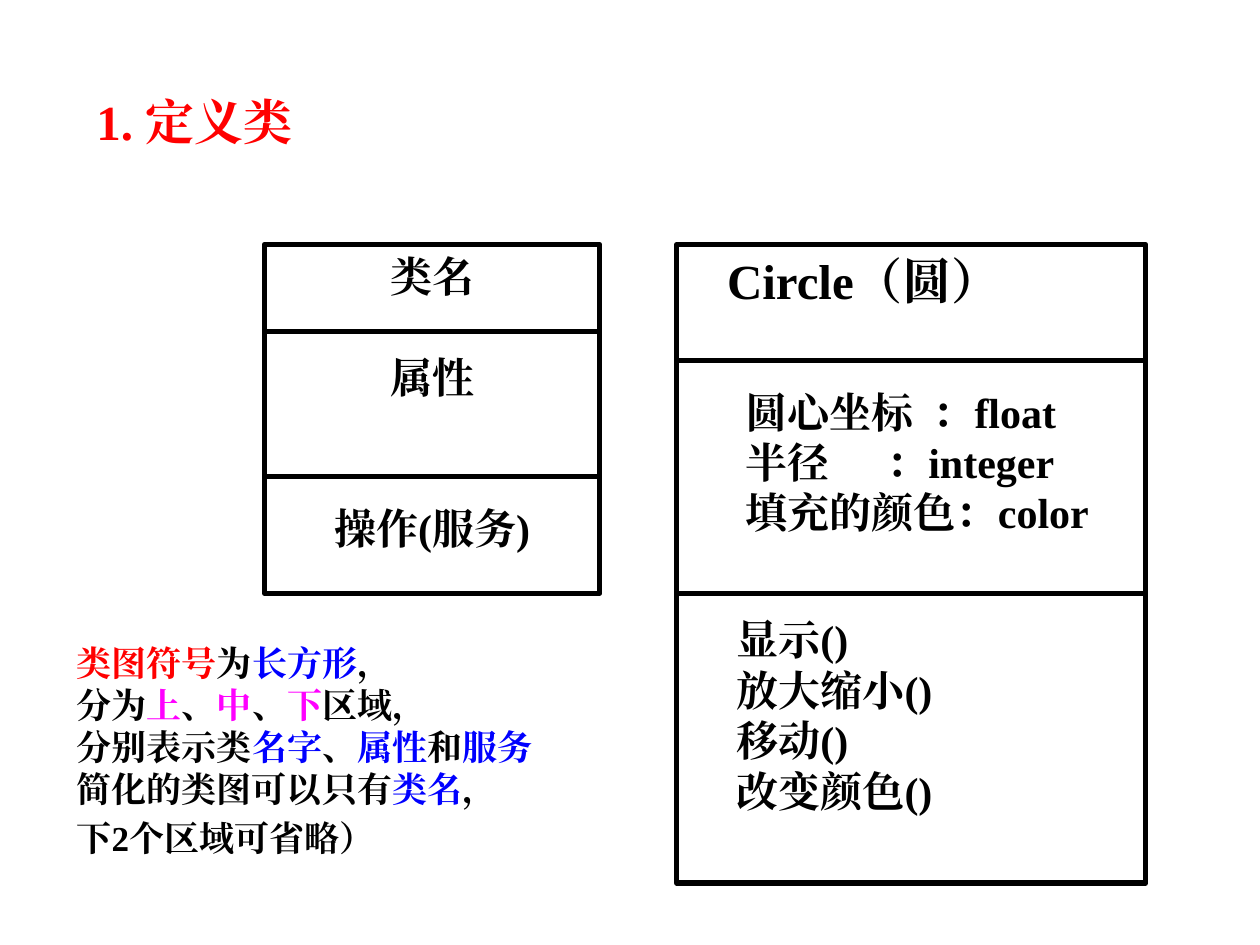
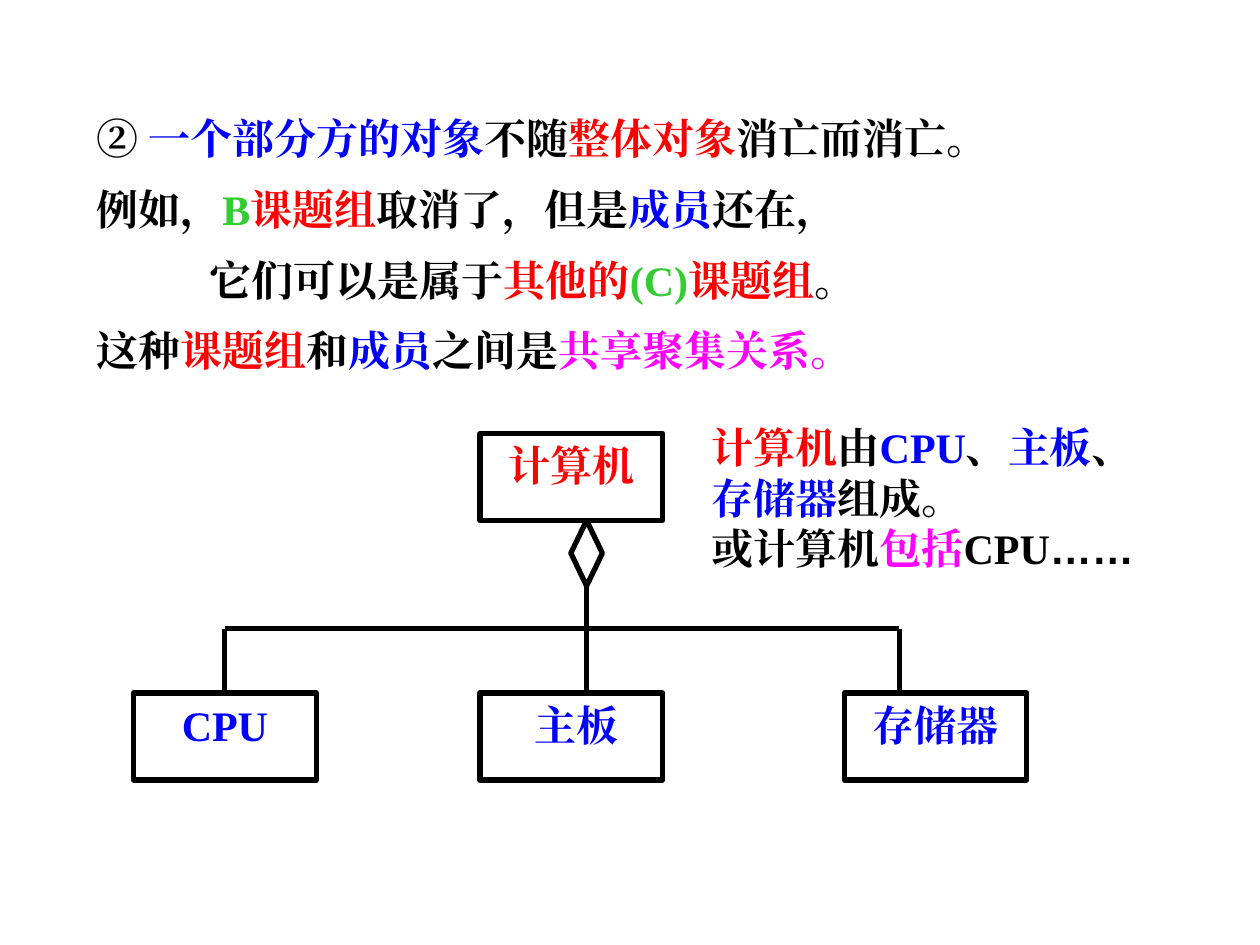
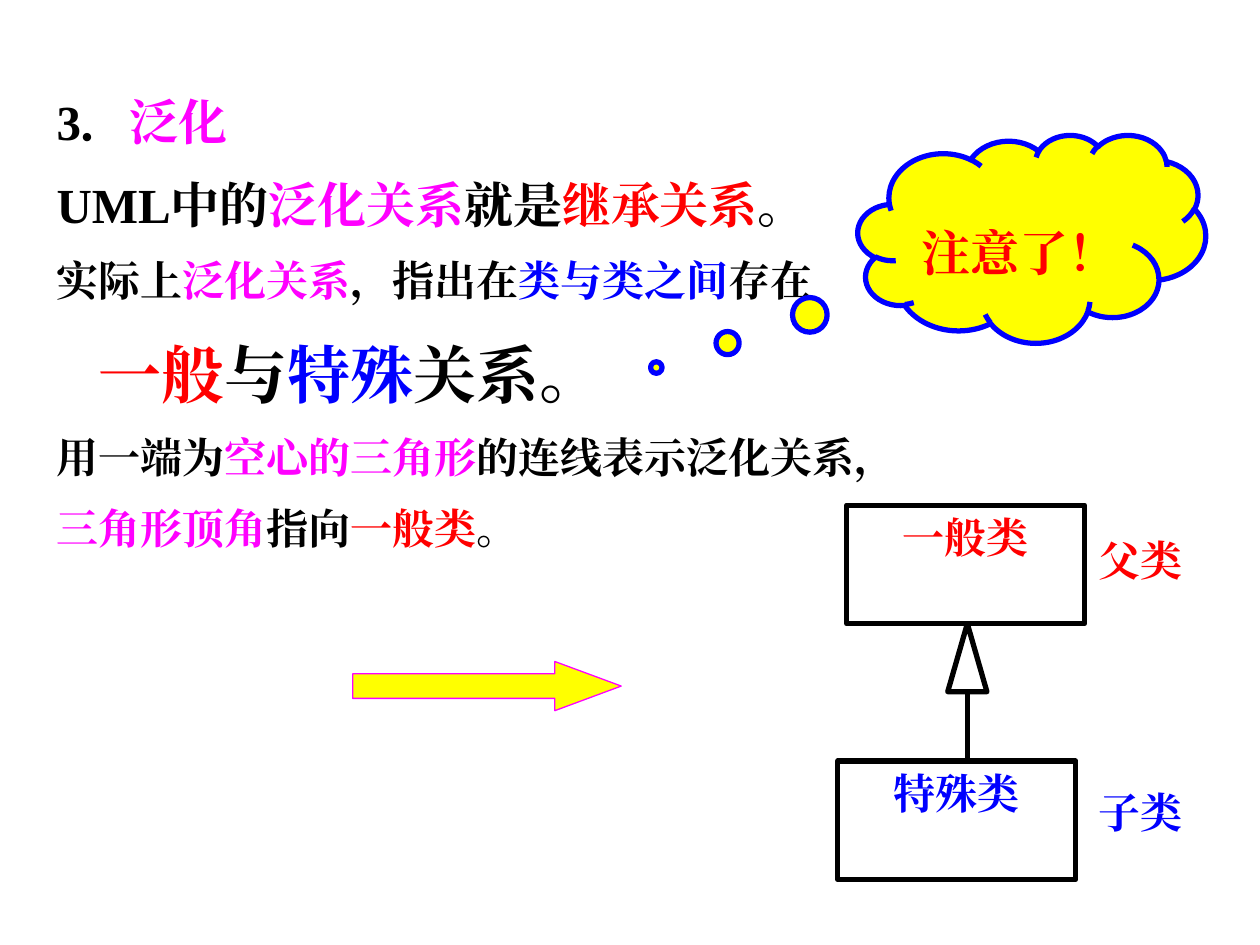
from dataclasses import dataclass
from functools import partial
from typing import NamedTuple, Sequence

from lxml.etree import SubElement
from pptx import Presentation
from pptx.dml.color import RGBColor
from pptx.enum.lang import MSO_LANGUAGE_ID
from pptx.enum.shapes import MSO_CONNECTOR, MSO_SHAPE
from pptx.enum.text import MSO_ANCHOR, PP_ALIGN
from pptx.oxml.ns import qn
from pptx.shapes.autoshape import Shape
from pptx.shapes.connector import Connector
from pptx.slide import Slide
from pptx.util import Pt

BLACK = RGBColor(0x00, 0x00, 0x00)
WHITE = RGBColor(0xFF, 0xFF, 0xFF)
RED = RGBColor(0xFF, 0x00, 0x00)
BLUE = RGBColor(0x00, 0x00, 0xFF)
MAGENTA = RGBColor(0xFF, 0x00, 0xFF)
GREEN = RGBColor(0x33, 0xCC, 0x33)
YELLOW = RGBColor(0xFF, 0xFF, 0x00)

FONT = "Times New Roman"
SYMBOL_FONT = "Arial"
LINE_HEIGHT = 1.2  # line pitch as a multiple of the text size
ROW = 24 * LINE_HEIGHT
INSET_X, INSET_Y = 7.2, 3.6
STROKE = 3


class Box(NamedTuple):
    left: float
    top: float
    width: float
    height: float

    @property
    def right(self) -> float:
        return self.left + self.width

    @property
    def bottom(self) -> float:
        return self.top + self.height

    @property
    def center(self) -> float:
        return self.left + self.width / 2


class Run(NamedTuple):
    text: str
    color: RGBColor = BLACK
    font: str = FONT


black = Run
red = partial(Run, color=RED)
blue = partial(Run, color=BLUE)
magenta = partial(Run, color=MAGENTA)
green = partial(Run, color=GREEN)


@dataclass(frozen=True)
class Line:
    runs: Sequence[Run]
    size: float = 24
    before: float = 0
    spacing: float = 1
    indent: float = 0
    tabs: Sequence[float] = ()


def write(shape: Shape, lines: Sequence[Line], *, align: PP_ALIGN = PP_ALIGN.LEFT,
          anchor: MSO_ANCHOR = MSO_ANCHOR.TOP, inset_top: float = INSET_Y) -> None:
    frame = shape.text_frame
    frame.word_wrap = True
    frame.vertical_anchor = anchor
    frame.margin_left = frame.margin_right = Pt(INSET_X)
    frame.margin_top, frame.margin_bottom = Pt(inset_top), Pt(INSET_Y)
    for index, line in enumerate(lines):
        paragraph = frame.add_paragraph() if index else frame.paragraphs[0]
        properties = paragraph._p.get_or_add_pPr()
        properties.set("marL", str(Pt(line.indent)))
        if line.tabs:
            stops = SubElement(properties, qn("a:tabLst"))
            for position in line.tabs:
                SubElement(stops, qn("a:tab"), pos=str(Pt(position)), algn="l")
        paragraph.alignment = align
        paragraph.line_spacing = Pt(line.size * LINE_HEIGHT * line.spacing)
        if line.before:
            paragraph.space_before = Pt(line.before)
        for part in line.runs:
            run = paragraph.add_run()
            run.text = part.text
            run.font.size = Pt(line.size)
            run.font.bold = True
            run.font.color.rgb = part.color
            run.font.name = part.font
            run.font.language_id = MSO_LANGUAGE_ID.SIMPLIFIED_CHINESE
            SubElement(run._r.get_or_add_rPr(), qn("a:ea"), typeface=part.font)


def add_text(slide: Slide, box: Box, lines: Sequence[Line], **text_format) -> None:
    write(slide.shapes.add_textbox(*map(Pt, box)), lines, **text_format)


def add_figure(slide: Slide, kind: MSO_SHAPE, box: Box, *, fill: RGBColor = WHITE,
               stroke: RGBColor = BLACK, width: float = STROKE,
               adjustments: Sequence[float] = ()) -> Shape:
    figure = slide.shapes.add_shape(kind, *map(Pt, box))
    figure.shadow.inherit = False
    figure.fill.solid()
    figure.fill.fore_color.rgb = fill
    figure.line.color.rgb = stroke
    figure.line.width = Pt(width)
    for index, value in enumerate(adjustments):
        figure.adjustments[index] = value
    return figure


def add_class(slide: Slide, box: Box, lines: Sequence[Line], *,
              align: PP_ALIGN = PP_ALIGN.CENTER,
              dividers: Sequence[float] = ()) -> Shape:
    """Draw a class symbol, split by horizontal dividers at the given heights."""
    symbol = add_figure(slide, MSO_SHAPE.RECTANGLE, box)
    write(symbol, lines, align=align)
    for y in dividers:
        add_line(slide, box.left, y, box.right, y)
    return symbol


def add_line(slide: Slide, x1: float, y1: float, x2: float, y2: float) -> Connector:
    line = slide.shapes.add_connector(MSO_CONNECTOR.STRAIGHT, Pt(x1), Pt(y1), Pt(x2), Pt(y2))
    line.line.color.rgb = BLACK
    line.line.width = Pt(STROKE)
    SubElement(line._element.spPr, qn("a:effectLst"))
    return line


def build_class_definition(slide: Slide) -> None:
    add_text(slide, Box(48, 49, 624, 45.4), [Line([red("1. 定义类")], size=28)])

    add_class(
        slide, Box(151.2, 139.7, 191.5, 199.4),
        [Line([black("类名")]),
         Line([black("属性")], before=ROW),
         Line([black("操作(服务)")], before=2 * ROW)],
        dividers=(189.4, 272.2))

    section_gap = ROW + 15
    attributes = (("圆心坐标", "float", 139), ("半径", "integer", 112.6),
                  ("填充的颜色", "color", 0))
    methods = ("显示()", "放大缩小()", "移动()", "改变颜色()")
    circle = [Line([black("Circle（圆）")], size=28, indent=21.6)]
    for index, (name, kind, colon) in enumerate(attributes):
        separator = "\t：" if colon else "："
        circle.append(Line([black(f"\t{name}{separator}{kind}")],
                           before=0 if index else section_gap,
                           tabs=(32.4, colon) if colon else (32.4,)))
    for index, method in enumerate(methods):
        circle.append(Line([black(method)], before=0 if index else section_gap, indent=27))
    add_class(slide, Box(386.8, 139.7, 268, 365), circle,
              align=PP_ALIGN.LEFT, dividers=(206, 339.1))

    note = partial(Line, size=20)
    add_text(
        slide, Box(36.7, 360.7, 317.5, 136),
        [note([red("类图符号"), black("为"), blue("长方形"), black("，")]),
         note([black("分为"), magenta("上"), black("、"), magenta("中"), black("、"),
               magenta("下"), black("区域，")]),
         note([black("分别表示类"), blue("名字"), black("、"), blue("属性"), black("和"),
               blue("服务")]),
         note([black("简化的类图可以只有"), blue("类名"), black("，")]),
         note([black("下2个区域可省略）")], before=4)],
        anchor=MSO_ANCHOR.MIDDLE)


def build_aggregation(slide: Slide) -> None:
    first = partial(Line, spacing=1.2)
    body = partial(first, before=6)
    add_text(
        slide, Box(48, 54.7, 624, 461.5),
        [first([black("② "), blue("一个部分方的对象"), black("不随"), red("整体对象"),
                black("消亡而消亡。")]),
         body([black("例如，"), green("B"), red("课题组"), black("取消了，但是"),
               blue("成员"), black("还在，")]),
         body([black("它们可以是属于"), red("其他的"), green("(C)"), red("课题组"),
               black("。")], indent=64.8),
         body([black("这种"), red("课题组"), black("和"), blue("成员"), black("之间是"),
               magenta("共享聚集关系。")])])

    width, height = 104.4, 49.7
    part_top, bus_y = 396, 359.3
    board_left = 274.3
    whole = Box(board_left, 247.7, width, height)
    cpu_box = Box(76.3, part_top, width, height)
    add_class(slide, Box(board_left, part_top, width, height),
              [Line([blue("主板")], indent=5.4)])
    add_class(slide, whole, [Line([red("计算机")])])
    cpu = add_class(slide, cpu_box, [Line([blue("CPU")])])
    add_class(slide, Box(482.4, part_top, width, height), [Line([blue("存储器")])])

    diamond_box = Box(326.2, whole.bottom, 18, 37.4)
    diamond = add_figure(slide, MSO_SHAPE.DIAMOND, diamond_box)
    stem_x, storage_x = diamond_box.center, 514
    stem = add_line(slide, stem_x, diamond_box.bottom, stem_x, part_top)
    stem.begin_connect(diamond, 2)
    add_line(slide, cpu_box.center, bus_y, storage_x, bus_y)
    add_line(slide, storage_x, bus_y, storage_x, part_top)
    cpu_branch = add_line(slide, cpu_box.center, bus_y, cpu_box.center, part_top)
    cpu_branch.end_connect(cpu, 0)

    add_text(
        slide, Box(399.6, 237.6, 266, 93.6),
        [Line([red("计算机"), black("由"), blue("CPU"), black("、"), blue("主板"),
               black("、")]),
         Line([blue("存储器"), black("组成。")]),
         Line([black("或计算机"), magenta("包括"), black("CPU"),
               black("……", font=SYMBOL_FONT)])])


def build_generalization(slide: Slide) -> None:
    body = partial(Line, before=6, spacing=1.2)
    add_text(
        slide, Box(25.2, 49, 646.6, 467.3),
        [Line([black("3．"), magenta("泛化")], size=28),
         body([black("UML中的"), magenta("泛化关系"), black("就是"), red("继承关系"),
               black("。")], size=28, before=7),
         body([black("实际上"), magenta("泛化关系"), black("，指出在"),
               blue("类与类之间"), black("存在")]),
         body([red("一般"), black("与"), blue("特殊"), black("关系。")],
              size=36, before=9, indent=24),
         body([black("用一端为"), magenta("空心的三角形"), black("的连线表示泛化关系，")]),
         body([magenta("三角形顶角"), black("指向"), red("一般类"), black("。")])])

    general = Box(483.8, 288.7, 136, 67.7)
    special = Box(478.8, 434.9, 136, 67.7)
    add_class(slide, general, [Line([red("一般类")])])
    add_class(slide, special, [Line([blue("特殊类")])])
    triangle = Box(541.6, general.bottom, 22.4, 38.9)
    add_line(slide, triangle.center, special.top, triangle.center, triangle.bottom)
    add_figure(slide, MSO_SHAPE.ISOSCELES_TRIANGLE, triangle)
    add_text(slide, Box(620, 298, 64, 187.2),
             [Line([red("父类")]), Line([blue("子类")], before=4 * ROW)],
             align=PP_ALIGN.CENTER, anchor=MSO_ANCHOR.MIDDLE)

    warning = add_figure(slide, MSO_SHAPE.CLOUD_CALLOUT, Box(490.3, 77, 198.7, 118.8),
                         fill=YELLOW, stroke=BLUE, adjustments=(-1.08, 0.62))
    write(warning, [Line([red("注意了！")], size=28)],
          align=PP_ALIGN.CENTER, inset_top=INSET_Y + ROW)
    add_figure(slide, MSO_SHAPE.RIGHT_ARROW, Box(201.6, 378, 153.4, 28.1),
               fill=YELLOW, stroke=MAGENTA, width=0.75, adjustments=(0.5, 1.35))


def main() -> None:
    deck = Presentation()
    deck.slide_width, deck.slide_height = Pt(720), Pt(540)
    blank = deck.slide_layouts[6]
    for build in (build_class_definition, build_aggregation, build_generalization):
        build(deck.slides.add_slide(blank))
    deck.save("out.pptx")


if __name__ == "__main__":
    main()
